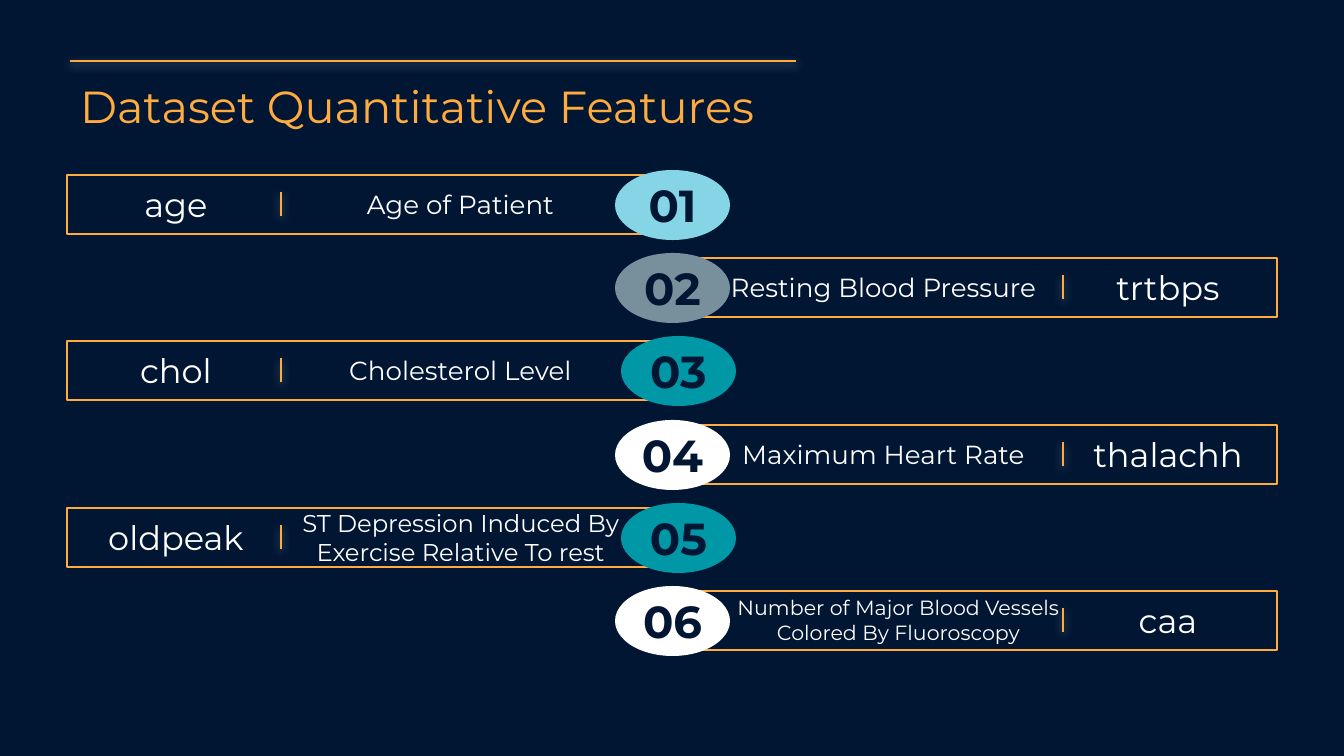
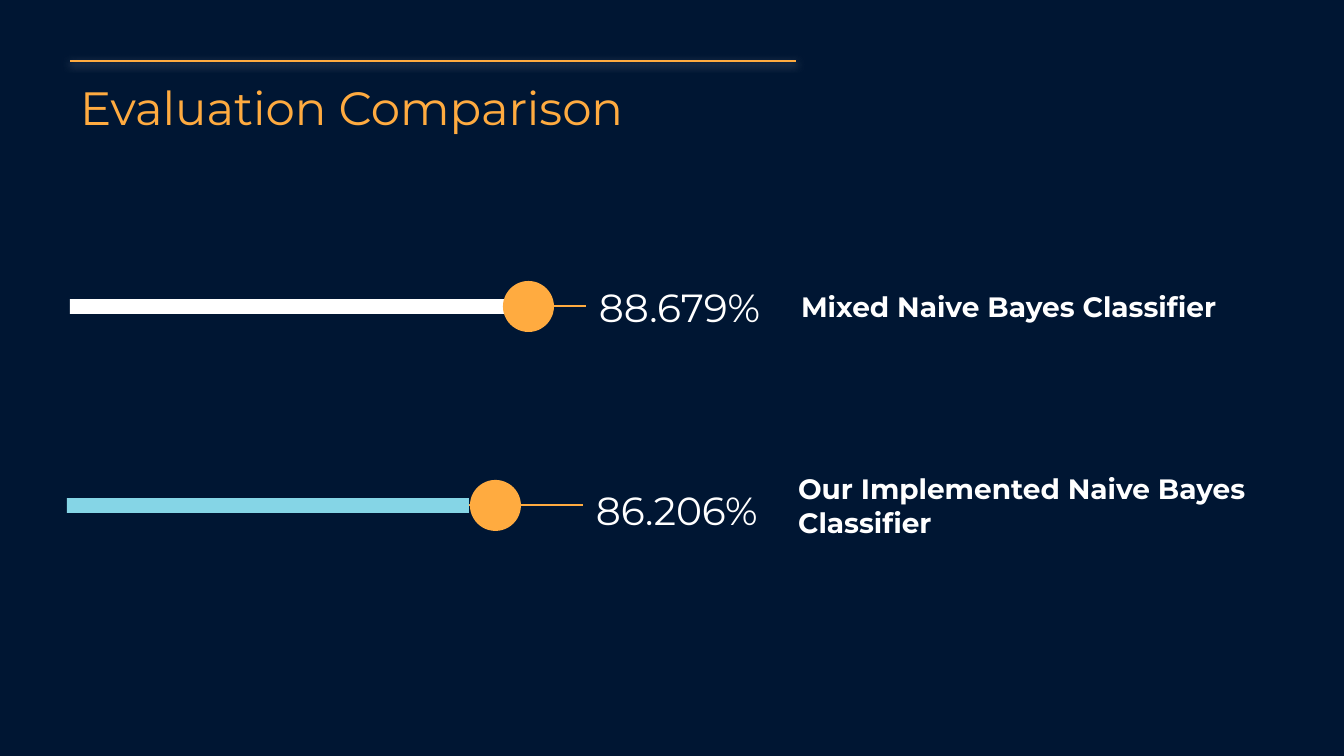
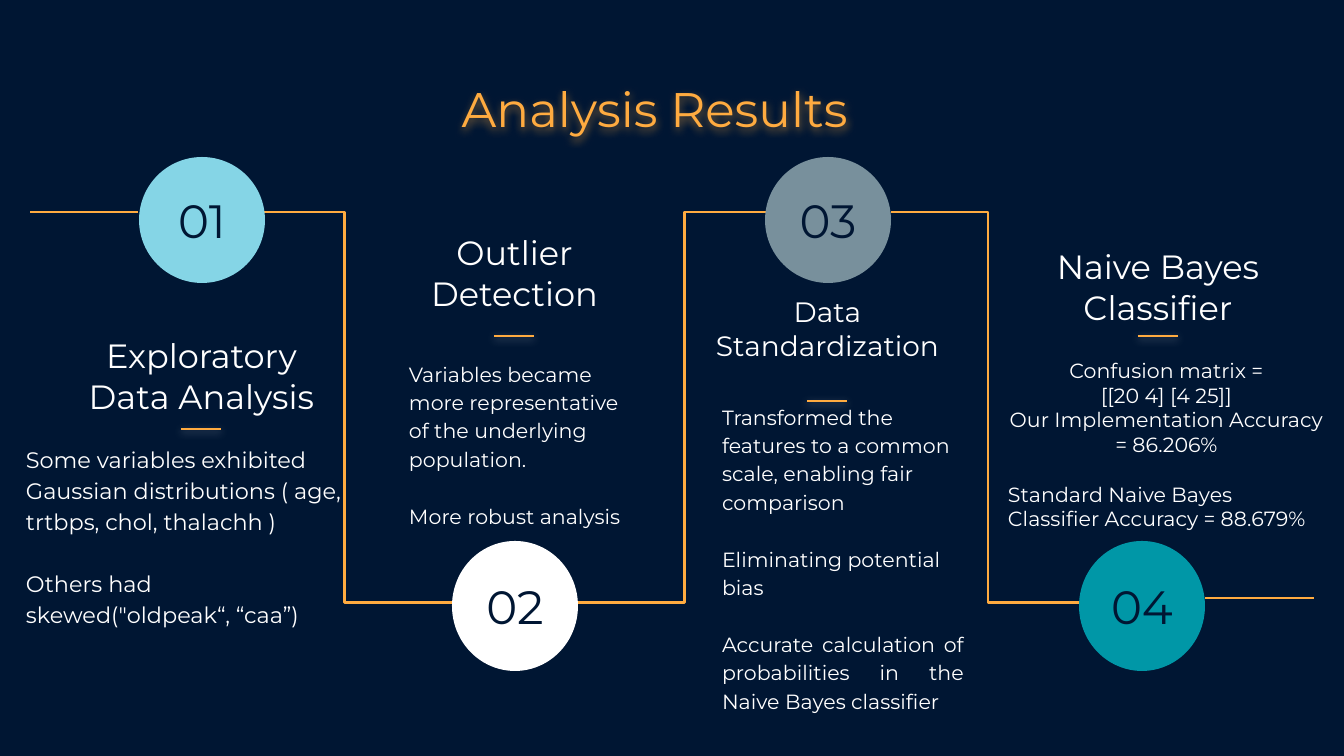
import pptx
import pptx.dml.color
import pptx.enum.shapes
import pptx.enum.text
import pptx.oxml
import pptx.oxml.ns
import pptx.util

RGBColor = pptx.dml.color.RGBColor
ALIGN = pptx.enum.text.PP_ALIGN
ANCHOR = pptx.enum.text.MSO_ANCHOR
SHAPE = pptx.enum.shapes.MSO_SHAPE

NAVY = RGBColor(0x00, 0x16, 0x33)
ORANGE = RGBColor(0xFF, 0xAB, 0x40)
WHITE = RGBColor(0xFF, 0xFF, 0xFF)
SKY = RGBColor(0x85, 0xD5, 0xE6)
SLATE = RGBColor(0x78, 0x90, 0x9C)
TEAL = RGBColor(0x00, 0x97, 0xA7)

FONT = "Montserrat"
PAGE_WIDTH, PAGE_HEIGHT = 1344, 756
EMU_PER_PX = 9144000 / PAGE_WIDTH
INSET = 13
LINE_HEIGHT = 1.22

FEATURES = [
    ("age", "Age of Patient", 14, SKY),
    ("trtbps", "Resting Blood Pressure", 14, SLATE),
    ("chol", "Cholesterol Level", 14, TEAL),
    ("thalachh", "Maximum Heart Rate", 14, WHITE),
    ("oldpeak", "ST Depression Induced By Exercise Relative To rest", 13, TEAL),
    ("caa", "Number of Major Blood Vessels Colored By Fluoroscopy", 11, WHITE),
]


def px(length):
    return pptx.util.Emu(round(length * EMU_PER_PX))


def set_shadow(shape, color=None):
    properties = shape._element.spPr
    effects = pptx.oxml.parse_xml(f"<a:effectLst {pptx.oxml.ns.nsdecls('a')}/>")
    if color is not None:
        effects.append(pptx.oxml.parse_xml(
            f"<a:outerShdw {pptx.oxml.ns.nsdecls('a')} blurRad='57150' dist='19050' "
            f"dir='5400000' algn='bl' rotWithShape='0'><a:srgbClr val='{color}'>"
            "<a:alpha val='50000'/></a:srgbClr></a:outerShdw>"))
    properties.append(effects)


def format_para(para, size, color=WHITE, align=ALIGN.LEFT, bold=False):
    para.alignment = align
    para.font.name = FONT
    para.font.size = pptx.util.Pt(size)
    para.font.bold = bold
    para.font.color.rgb = color


def format_frame(frame, anchor):
    frame.word_wrap = True
    frame.auto_size = pptx.enum.text.MSO_AUTO_SIZE.NONE
    frame.vertical_anchor = anchor
    frame.margin_left = frame.margin_right = px(INSET)
    frame.margin_top = frame.margin_bottom = px(INSET)


def add_text(page, box, text, size, align=ALIGN.CENTER, anchor=ANCHOR.MIDDLE, bold=False):
    frame = page.shapes.add_textbox(*map(px, box)).text_frame
    format_frame(frame, anchor)
    frame.text = text
    format_para(frame.paragraphs[0], size, align=align, bold=bold)


def add_body(page, box, paras, size, spacing=1.0, indent=0):
    frame = page.shapes.add_textbox(*map(px, box)).text_frame
    format_frame(frame, ANCHOR.TOP)
    for index, (text, align, gap_before) in enumerate(paras):
        para = frame.add_paragraph() if index else frame.paragraphs[0]
        para.text = text
        format_para(para, size, align=align)
        para.line_spacing = spacing
        if gap_before:
            para.space_before = pptx.util.Pt(round(size * LINE_HEIGHT * spacing, 1))
        if indent:
            para._p.get_or_add_pPr().set("marL", str(px(indent)))


def add_solid(page, kind, box, fill):
    shape = page.shapes.add_shape(kind, *map(px, box))
    shape.shadow.inherit = False
    shape.fill.solid()
    shape.fill.fore_color.rgb = fill
    shape.line.fill.background()
    return shape


def add_badge(page, box, fill, text, size, bold=False):
    badge = add_solid(page, SHAPE.OVAL, box, fill)
    format_frame(badge.text_frame, ANCHOR.MIDDLE)
    badge.text_frame.margin_left = badge.text_frame.margin_right = 0
    badge.text_frame.text = text
    format_para(badge.text_frame.paragraphs[0], size, NAVY, ALIGN.CENTER, bold)


def add_line(page, start, end, width=1.5, shadow=None):
    line = page.shapes.add_connector(
        pptx.enum.shapes.MSO_CONNECTOR.STRAIGHT, *map(px, start + end))
    line.line.color.rgb = ORANGE
    line.line.width = pptx.util.Pt(width)
    set_shadow(line, shadow)


def add_rule(page, start, end):
    add_line(page, start, end, 0.75, WHITE)


def add_page(deck, title, size, align=ALIGN.LEFT):
    page = deck.slides.add_slide(deck.slide_layouts.get_by_name("Title Only"))
    heading = page.shapes.title
    heading.left, heading.top, heading.width, heading.height = map(px, (67, 66, 1176, 70))
    format_frame(heading.text_frame, ANCHOR.TOP)
    heading.text_frame.text = title
    format_para(heading.text_frame.paragraphs[0], size, ORANGE, align)
    if align == ALIGN.LEFT:
        add_rule(page, (70, 61), (796, 61))
    else:
        set_shadow(heading, ORANGE)
    return page


def add_feature(page, box, number, feature, on_left):
    left, top, width, height = box
    name, description, size, color = feature
    name_width, description_width = 218, 351
    frame = page.shapes.add_shape(SHAPE.RECTANGLE, *map(px, box))
    frame.shadow.inherit = False
    frame.fill.background()
    frame.line.color.rgb = ORANGE
    frame.line.width = pptx.util.Pt(1.5)

    right = left + width
    middle = right if on_left else left
    shift = 6 if color == TEAL else 0
    add_badge(page, (middle - 57 + shift, top - 5, 115, 70), color, f"{number:02}", 24, True)

    if on_left:
        name_left, divider = left, left + 214
        description_left = left + name_width
    else:
        name_left, divider = right - name_width, right - 214
        description_left = name_left - description_width + (15 if size == 11 else 0)
    add_text(page, (name_left, top + 5, name_width, height - 11), name, 18)
    add_text(page, (description_left, top + 5, description_width, height - 11), description, size)
    add_rule(page, (divider, top + 17), (divider, top + 41))


def add_features_page(deck):
    page = add_page(deck, "Dataset Quantitative Features", 24)
    for index, feature in enumerate(FEATURES):
        on_left = index % 2 == 0
        box = (67 if on_left else 672, 175 + index * 250 // 3, 605, 59)
        add_feature(page, box, index + 1, feature, on_left)


def add_score(page, box, bar_width, knob_left, color, score, score_anchor, label):
    left, top, width, height = box
    middle = top + height // 2
    knob = 51
    add_line(page, (left + 1, middle), (left + 516, middle))
    add_solid(page, SHAPE.RECTANGLE, (left, middle - 7, bar_width, 15), color)
    add_solid(page, SHAPE.OVAL, (left + knob_left, middle - 25, knob, knob), ORANGE)
    score_height = 122 if score_anchor == ANCHOR.TOP else 59
    score_top = middle - (32 if score_anchor == ANCHOR.TOP else 29)
    add_text(page, (left + 516, score_top, 202, score_height), score, 21,
             ALIGN.LEFT, score_anchor)
    label_left = 718
    add_text(page, (left + label_left, top, width - label_left, height), label, 15,
             ALIGN.LEFT, bold=True)


def add_comparison_page(deck):
    page = add_page(deck, "Evaluation Comparison", 25)
    add_score(page, (67, 465, 1260, 81), 402, 403, SKY, "86.206%", ANCHOR.TOP,
              "Our Implemented Naive Bayes Classifier")
    add_score(page, (70, 266, 1260, 81), 469, 433, WHITE, "88.679%", ANCHOR.MIDDLE,
              "Mixed Naive Bayes Classifier")


def add_path(page, points):
    builder = page.shapes.build_freeform(*map(px, points[0]), scale=1.0)
    builder.add_line_segments([tuple(map(px, point)) for point in points[1:]], close=False)
    route = builder.convert_to_shape()
    route.shadow.inherit = False
    route.fill.background()
    route.line.color.rgb = ORANGE
    route.line.width = pptx.util.Pt(1.6)


def add_timeline(page, box):
    left, top, width, height = box
    upper, lower = top + 55, top + 445
    for start, bend, end in ((261, 345, 457), (770, 685, 574), (891, 988, 1117)):
        add_path(page, [(start, upper), (bend, upper), (bend, lower), (end, lower)])
    for index, color in enumerate((SKY, WHITE, SLATE, TEAL)):
        circle_height = 130 if index % 2 else 126
        circle_top = top + height - circle_height if index % 2 else top
        circle_left = left + 109 + index * 940 // 3
        add_badge(page, (circle_left, circle_top, 126, circle_height), color,
                  f"{index + 1:02}", 25)
    add_line(page, (left + width, lower - 4), (left + width - 109, lower - 4))
    add_line(page, (left + 108, upper), (left, upper))


def add_step(page, heading_box, heading, size, rule_top):
    left, top, width, height = heading_box
    add_text(page, heading_box, heading, size, anchor=ANCHOR.BOTTOM)
    center = left + width // 2
    add_rule(page, (center - 20, rule_top), (center + 20, rule_top))


def add_results_page(deck):
    page = add_page(deck, "Analysis Results", 26, ALIGN.CENTER)
    add_timeline(page, (30, 157, 1284, 514))
    left, center = ALIGN.LEFT, ALIGN.CENTER

    add_step(page, (67, 280, 269, 149), "Exploratory Data Analysis", 18, 429)
    add_body(page, (13, 429, 343, 215), [
        ("Some variables exhibited Gaussian distributions ( age, trtbps, chol, thalachh )",
         left, False),
        ('Others had skewed("oldpeak“, “caa”)', left, True),
    ], 12, 1.15)

    add_step(page, (380, 245, 269, 81), "Outlier Detection", 18, 336)
    add_body(page, (380, 345, 269, 195), [
        ("Variables became more representative of the underlying population.", left, False),
        ("More robust analysis", left, True),
    ], 11, 1.15, 16)

    add_step(page, (693, 280, 269, 95), "Data Standardization", 15, 401)
    add_body(page, (693, 388, 284, 339), [
        ("Transformed the features to a common scale, enabling fair comparison", left, False),
        ("Eliminating potential bias", left, True),
        ("Accurate calculation of probabilities in the Naive Bayes classifier",
         ALIGN.JUSTIFY, True),
    ], 11, 1.15, 16)

    add_step(page, (1008, 231, 300, 109), "Naive Bayes Classifier", 18, 336)
    add_body(page, (995, 345, 343, 202), [
        ("Confusion matrix =", center, False),
        ("[[20 4] [4 25]]", center, False),
        ("Our Implementation Accuracy = 86.206%", center, False),
        ("Standard Naive Bayes Classifier Accuracy = 88.679%", left, True),
    ], 11)


def main():
    deck = pptx.Presentation()
    deck.slide_width, deck.slide_height = px(PAGE_WIDTH), px(PAGE_HEIGHT)
    backdrop = deck.slide_master.background.fill
    backdrop.solid()
    backdrop.fore_color.rgb = NAVY
    add_features_page(deck)
    add_comparison_page(deck)
    add_results_page(deck)
    deck.save("out.pptx")


if __name__ == "__main__":
    main()
